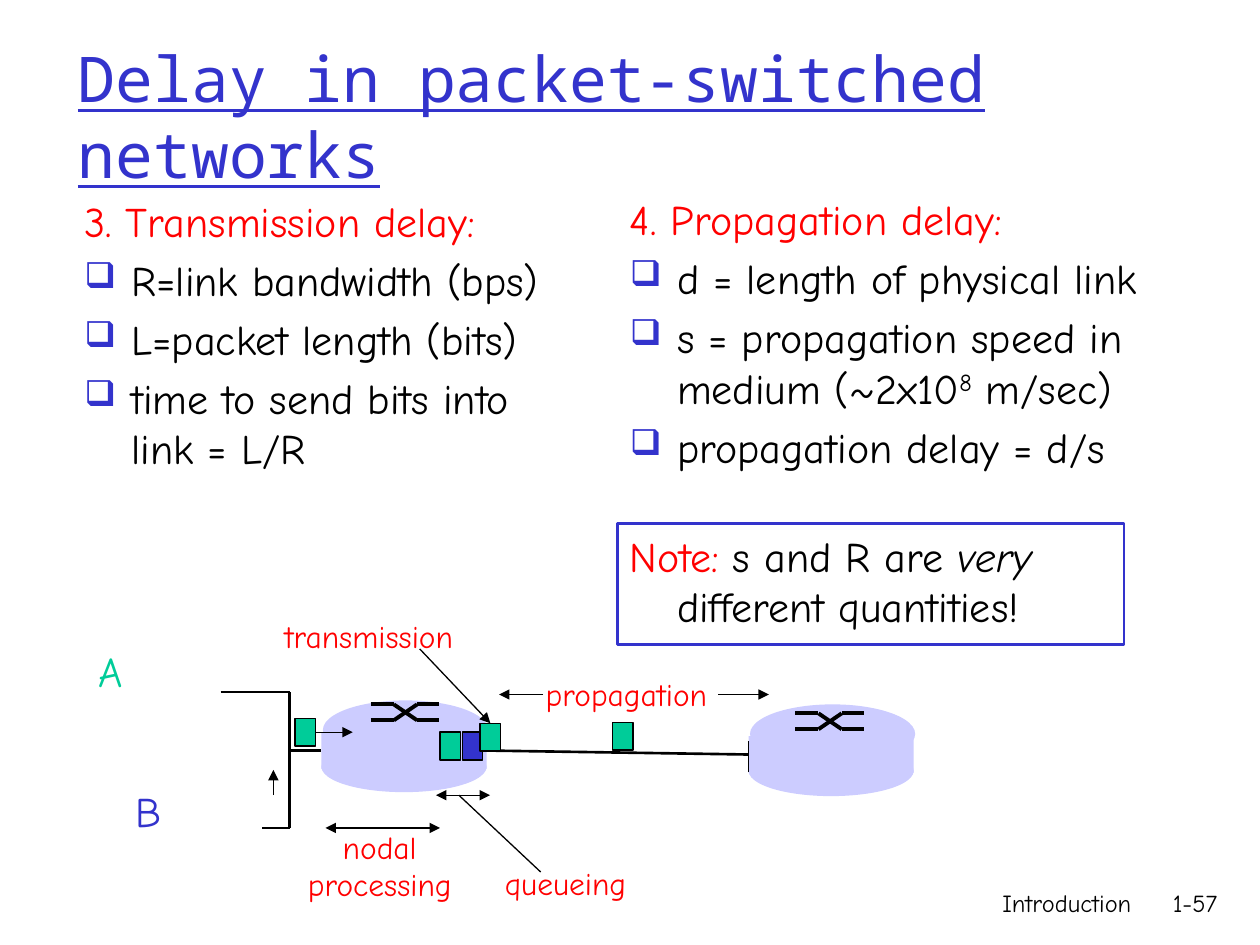
import lxml.etree
import pptx
import pptx.dml.color
import pptx.enum.shapes
import pptx.enum.text
import pptx.oxml
import pptx.oxml.ns
import pptx.util

Cm = pptx.util.Cm
Pt = pptx.util.Pt
RGBColor = pptx.dml.color.RGBColor
SHAPE = pptx.enum.shapes.MSO_SHAPE
ALIGN = pptx.enum.text.PP_ALIGN
qn = pptx.oxml.ns.qn

BLACK = RGBColor(0x00, 0x00, 0x00)
BLUE = RGBColor(0x33, 0x33, 0xCC)
RED = RGBColor(0xFF, 0x00, 0x00)
GREEN = RGBColor(0x00, 0xCC, 0x99)
LAVENDER = RGBColor(0xCC, 0xCC, 0xFF)

BODY_FONT = "Comic Neue"
TITLE_FONT = "Noto Sans Mono"
INDENT = 0.95
PACKET_WIDTH, PACKET_HEIGHT = 0.41, 0.56


def write_span(para, text, size=24, color=BLACK, font=BODY_FONT,
               italic=False, underline=False, raised=False):
    span = para.add_run()
    span.text = text
    span.font.name = font
    span.font.size = Pt(size)
    span.font.color.rgb = color
    span.font.italic = italic
    span.font.underline = underline
    if raised:
        span._r.get_or_add_rPr().set("baseline", "30000")


def add_box(page, left, top, width, height, wrap=True):
    box = page.shapes.add_textbox(Cm(left), Cm(top), Cm(width), Cm(height))
    box.text_frame.word_wrap = wrap
    return box


def indent(para, bullet=False):
    props = para._p.get_or_add_pPr()
    props.set("marL", str(Cm(INDENT)))
    props.set("indent", str(-Cm(INDENT)))
    if not bullet:
        return
    color = lxml.etree.SubElement(props, qn("a:buClr"))
    lxml.etree.SubElement(color, qn("a:srgbClr"), val=str(BLUE))
    lxml.etree.SubElement(props, qn("a:buSzPct"), val="85000")
    lxml.etree.SubElement(props, qn("a:buChar"), char="❑")


def add_title(page, left, top, width, height, text):
    box = add_box(page, left, top, width, height)
    box.text_frame.vertical_anchor = pptx.enum.text.MSO_ANCHOR.MIDDLE
    write_span(box.text_frame.paragraphs[0], text, size=36, color=BLUE,
               font=TITLE_FONT, underline=True)


def add_column(page, left, top, width, height, heading, items):
    frame = add_box(page, left, top, width, height).text_frame
    para = frame.paragraphs[0]
    indent(para)
    write_span(para, heading, color=RED)
    for spans in items:
        para = frame.add_paragraph()
        indent(para, bullet=True)
        para.space_before = Pt(5)
        for text, raised in spans:
            write_span(para, text, raised=raised)


def add_note(page, left, top, width, height):
    box = add_box(page, left, top, width, height)
    box.line.color.rgb = BLUE
    box.line.width = Pt(1.5)
    para = box.text_frame.paragraphs[0]
    indent(para)
    write_span(para, "Note: ", color=RED)
    write_span(para, "s and R are ")
    write_span(para, "very ", italic=True)
    write_span(para, "different quantities!")


def add_footer(page, left, top, width, height, number_width):
    fields = [("Introduction", left, width - number_width),
              ("1-57", left + width - number_width, number_width)]
    for text, field_left, field_width in fields:
        box = add_box(page, field_left, top, field_width, height)
        para = box.text_frame.paragraphs[0]
        para.alignment = ALIGN.RIGHT
        write_span(para, text, size=14)


def add_label(page, left, top, width, height, lines, **style):
    frame = add_box(page, left, top, width, height, wrap=False).text_frame
    frame.auto_size = pptx.enum.text.MSO_AUTO_SIZE.SHAPE_TO_FIT_TEXT
    for number, text in enumerate(lines):
        para = frame.add_paragraph() if number else frame.paragraphs[0]
        para.alignment = ALIGN.CENTER if len(lines) > 1 else ALIGN.LEFT
        write_span(para, text, **style)


def add_filled(page, kind, left, top, width, height, color, outlined=False):
    shape = page.shapes.add_shape(kind, Cm(left), Cm(top), Cm(width), Cm(height))
    shape.shadow.inherit = False
    shape.fill.solid()
    shape.fill.fore_color.rgb = color
    if outlined:
        shape.line.color.rgb = BLACK
        shape.line.width = Pt(0.75)
    else:
        shape.line.fill.background()
    return shape


def add_line(page, start, end, width=0.75, ends=()):
    line = page.shapes.add_connector(
        pptx.enum.shapes.MSO_CONNECTOR.STRAIGHT,
        *(Cm(value) for value in (*start, *end)))
    line.line.color.rgb = BLACK
    line.line.width = Pt(width)
    outline = line.line._get_or_add_ln()
    for name in ends:
        lxml.etree.SubElement(outline, qn(f"a:{name}"), type="triangle")
    lxml.etree.SubElement(line._element.spPr, qn("a:effectLst"))
    return line


def add_router(page, left, top, width):
    add_filled(page, SHAPE.OVAL, left, top + 0.83, width, 1.02, LAVENDER)
    body = add_filled(page, SHAPE.RECTANGLE, left, top + 0.64, width, 0.74, LAVENDER)
    add_filled(page, SHAPE.OVAL, left + 0.03, top, width, 1.19, LAVENDER)
    return body


def add_switch_symbol(page, left, top, width, height):
    inner, outer = left + width * 0.34, left + width * 0.68
    right, bottom = left + width, top + height
    for start_y, end_y in ((top, bottom), (bottom, top)):
        add_line(page, (left, start_y), (inner, start_y), 2.25)
        add_line(page, (inner, start_y), (outer, end_y), 2.25)
        add_line(page, (outer, end_y), (right, end_y), 2.25)


def add_network(page, left, top):
    def at(x, y):
        return left + x, top + y

    near = add_router(page, *at(4.75, 1.8), 3.33)
    far = add_router(page, *at(13.36, 1.88), 3.33)
    add_line(page, at(13.36, 2.62), at(13.36, 3.25), 1)
    for x, y in ((5.74, 1.88), (14.3, 2.06)):
        add_switch_symbol(page, *at(x, y), 1.38, 0.32)

    for start, end in (((2.72, 1.63), (4.11, 1.63)),
                       ((3.56, 4.37), (4.11, 4.37)),
                       ((4.11, 1.63), (4.11, 4.37))):
        add_line(page, at(*start), at(*end), 1.5)
    access = add_line(page, at(4.14, 2.81), at(4.75, 2.81), 1.5)
    access.end_connect(near, 1)
    link = add_line(page, at(8.08, 2.81), at(13.36, 2.89), 1.5)
    link.begin_connect(near, 3)
    link.end_connect(far, 1)

    packets = [add_filled(page, SHAPE.RECTANGLE, *at(x, y), PACKET_WIDTH,
                          PACKET_HEIGHT, color, outlined=True)
               for x, y, color in ((10.62, 2.24, GREEN), (7.14, 2.44, GREEN),
                                   (7.59, 2.44, BLUE), (4.22, 2.16, GREEN),
                                   (7.95, 2.26, GREEN))]
    arriving, sending = packets[-2:]

    one_way, both_ways = ("tailEnd",), ("headEnd", "tailEnd")
    for start, end, ends in (((3.78, 3.71), (3.78, 3.2), one_way),
                             ((12.75, 1.68), (13.77, 1.68), one_way),
                             ((9.22, 1.68), (8.33, 1.68), one_way),
                             ((7.14, 4.37), (4.83, 4.37), both_ways),
                             ((8.15, 3.71), (7.06, 3.71), both_ways),
                             ((9.17, 5.26), (7.52, 3.71), ())):
        add_line(page, at(*start), at(*end), ends=ends)
    entering = add_line(page, at(4.63, 2.44), at(5.38, 2.44), ends=one_way)
    entering.begin_connect(arriving, 3)
    pointer = add_line(page, at(6.73, 0.76), at(8.15, 2.26), ends=one_way)
    pointer.end_connect(sending, 0)

    for lines, x, y, width, height, size, color in (
            (["A"], 0, 0.56, 1.12, 1.27, 24, GREEN),
            (["B"], 0.76, 3.4, 1.04, 1.27, 24, BLUE),
            (["propagation"], 9.02, 1.17, 3.96, 1.02, 18, RED),
            (["transmission"], 3.76, 0, 4.22, 1.02, 18, RED),
            (["nodal", "processing"], 4.11, 4.24, 3.63, 1.78, 18, RED),
            (["queueing"], 8.2, 4.98, 3.05, 1.02, 18, RED)):
        add_label(page, *at(x, y), width, height, lines, size=size, color=color)


def main():
    deck = pptx.Presentation()
    deck.slide_width, deck.slide_height = Cm(25.4), Cm(19.05)
    page = deck.slides.add_slide(deck.slide_layouts[6])
    add_footer(page, 15.04, 17.78, 9.75, 1.27, number_width=1.73)
    add_title(page, 1.32, 0.74, 21.59, 3.18, "Delay in packet-switched networks")
    add_column(page, 1.45, 3.81, 10.59, 6.96, "3. Transmission delay:", [
        [("R=link bandwidth (bps)", False)],
        [("L=packet length (bits)", False)],
        [("time to send bits into link = L/R", False)]])
    add_column(page, 12.45, 3.78, 11.53, 8.1, "4. Propagation delay:", [
        [("d = length of physical link", False)],
        [("s = propagation speed in medium (~2x10", False), ("8", True),
         (" m/sec)", False)],
        [("propagation delay = d/s", False)]])
    add_network(page, 1.73, 12.32)
    add_note(page, 12.45, 10.56, 10.21, 2.44)
    deck.save("out.pptx")


if __name__ == "__main__":
    main()
